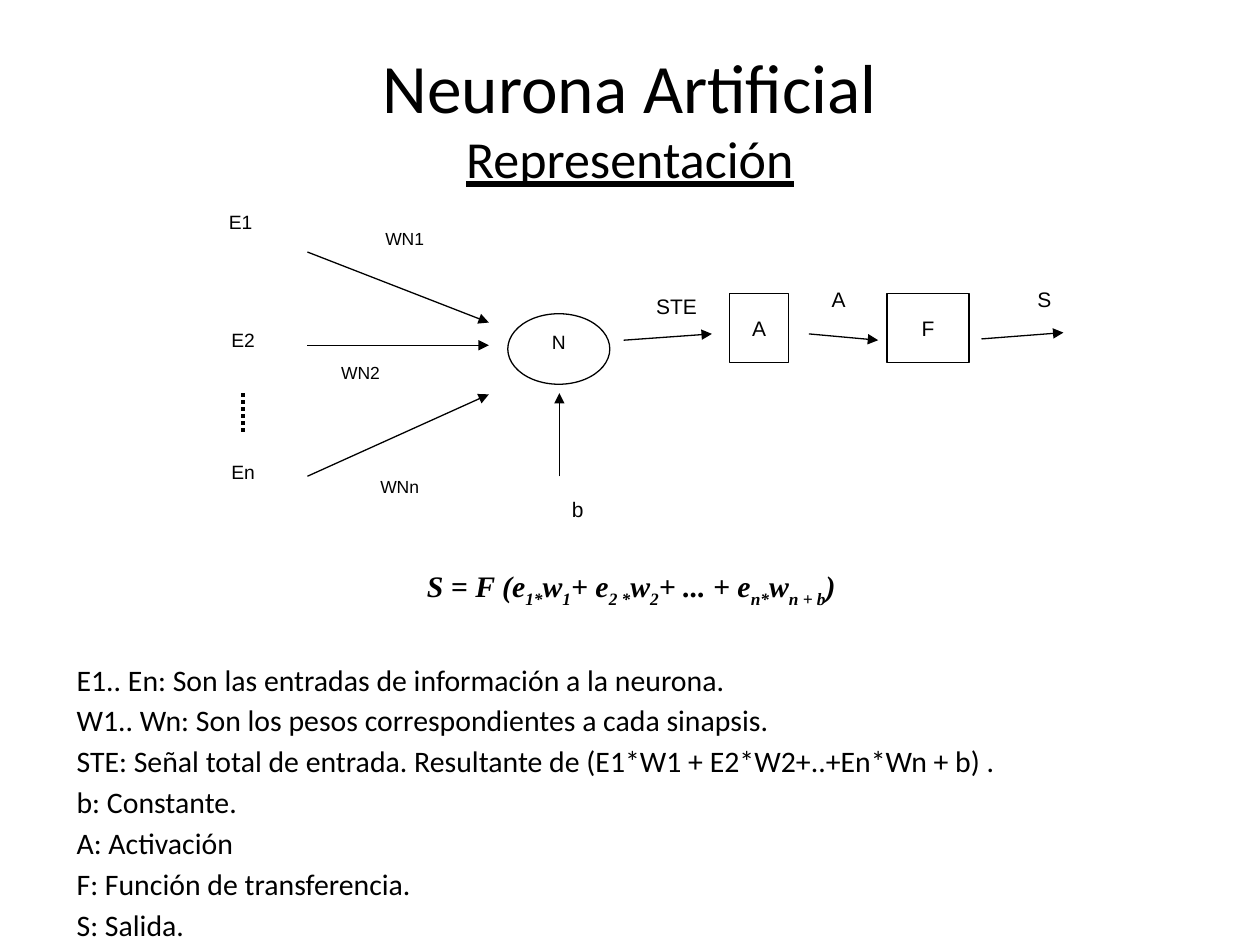
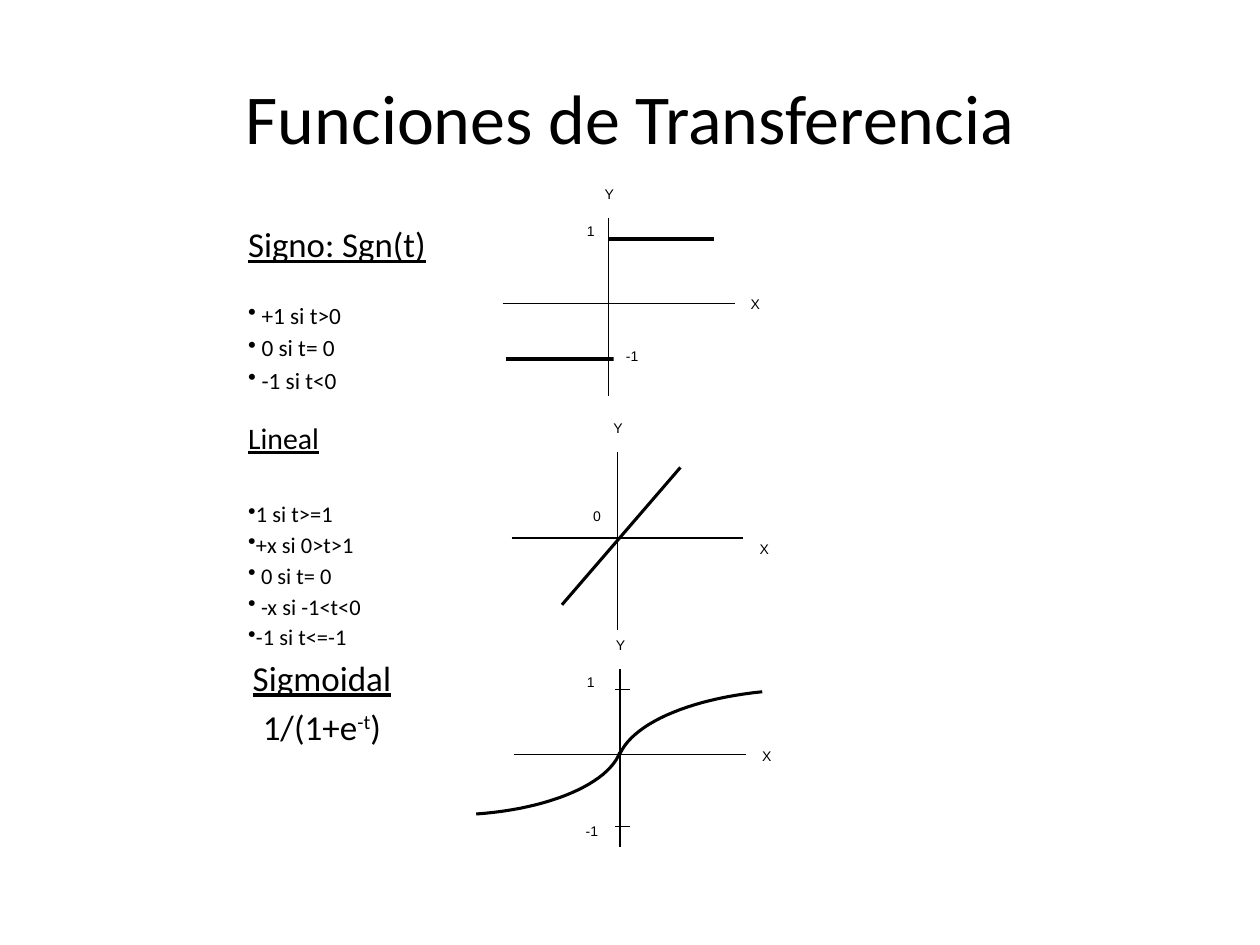
from lxml import etree
from pptx import Presentation
from pptx.dml.color import RGBColor
from pptx.enum.dml import MSO_LINE
from pptx.enum.shapes import MSO_CONNECTOR, MSO_SHAPE
from pptx.enum.text import MSO_ANCHOR as ANCHOR, PP_ALIGN as ALIGN
from pptx.oxml.ns import qn
from pptx.util import Pt

PX = 9144  # 100 px to the inch
BLACK, WHITE = "000000", "FFFFFF"
BODY_FONT, LABEL_FONT, FORMULA_FONT = "Calibri", "Arial", "Times New Roman"
THIN = 0.75


def rgb(value):
    return RGBColor.from_string(value)


def px(*lengths):
    return [round(n * PX) for n in lengths]


def add_par(tf, runs, size, font=BODY_FONT, align=ALIGN.LEFT, before=0,
            bullet=False, underline=False, bold_italic=False):
    """Add a paragraph; runs is a list of (text, baseline shift in percent)."""
    p = tf.add_paragraph() if tf.text else tf.paragraphs[0]
    p.alignment = ALIGN.JUSTIFY if bullet else align
    p.space_before = Pt(before)
    if bullet:
        pPr = p._p.get_or_add_pPr()
        pPr.set("marL", "0")
        pPr.set("indent", "0")
        etree.SubElement(pPr, qn("a:buChar")).set("char", "•")
    for text, shift in runs:
        r = p.add_run()
        r.text = text
        r.font.name, r.font.size = font, Pt(size)
        r.font.color.rgb = rgb(BLACK)
        if underline:
            r.font.underline = True
        if bold_italic:
            r.font.bold = r.font.italic = True
        if shift:
            r.font._element.set("baseline", str(shift * 1000))


def add_text(slide, x, y, w, h, anchor=ANCHOR.TOP):
    tf = slide.shapes.add_textbox(*px(x, y, w, h)).text_frame
    tf.word_wrap = True
    tf.vertical_anchor = anchor
    return tf


def add_title(slide, title, size, subtitle=None):
    tf = add_text(slide, 50, 30, 900, 125, ANCHOR.MIDDLE)
    add_par(tf, [(title, 0)], size, align=ALIGN.CENTER)
    if subtitle:
        add_par(tf, [(subtitle, 0)], 29.7, align=ALIGN.CENTER, underline=True)


def add_node(slide, x, y, w, h, text, size, align=ALIGN.CENTER,
             anchor=ANCHOR.MIDDLE, shape=MSO_SHAPE.RECTANGLE, outlined=False):
    sp = slide.shapes.add_shape(shape, *px(x, y, w, h))
    sp.shadow.inherit = False
    sp.fill.solid()
    sp.fill.fore_color.rgb = rgb(WHITE)
    if outlined:
        sp.line.color.rgb = rgb(BLACK)
        sp.line.width = Pt(THIN)
    else:
        sp.line.fill.background()
    tf = sp.text_frame
    tf.word_wrap = True
    tf.vertical_anchor = anchor
    add_par(tf, [(text, 0)], size, LABEL_FONT, align)


def add_line(slide, x1, y1, x2, y2, width=THIN, arrow=False, dash=None):
    c = slide.shapes.add_connector(MSO_CONNECTOR.STRAIGHT, *px(x1, y1, x2, y2))
    c.line.color.rgb = rgb(BLACK)
    c.line.width = Pt(width)
    if dash:
        c.line.dash_style = dash
    if arrow:
        etree.SubElement(c.line._get_or_add_ln(), qn("a:tailEnd")).set("type", "triangle")
    etree.SubElement(c._element.spPr, qn("a:effectLst"))


def add_curve(slide, x, y, controls, width, steps=24):
    """Draw a cubic Bézier curve whose control points are relative to (x, y)."""
    points = []
    for i in range(steps + 1):
        t = i / steps
        weights = (1 - t) ** 3, 3 * t * (1 - t) ** 2, 3 * t * t * (1 - t), t ** 3
        points.append(tuple(start + sum(k * c[axis] for k, c in zip(weights, controls))
                            for axis, start in enumerate((x, y))))
    # Finer local units keep the curve even.
    points = [(px_x * 100, px_y * 100) for px_x, px_y in points]
    builder = slide.shapes.build_freeform(*points[0], scale=PX / 100)
    builder.add_line_segments(points[1:], close=False)
    sp = builder.convert_to_shape()
    sp.shadow.inherit = False
    sp.fill.background()
    sp.line.color.rgb = rgb(BLACK)
    sp.line.width = Pt(width)


def add_neuron_diagram(slide, left, top):
    for x, y, text in ((154, 211, "WNn"), (158, 14, "WN1"), (123, 120, "WN2")):
        add_node(slide, left + x, top + y, 106, 38, text, 10, ALIGN.LEFT, ANCHOR.TOP)
    for x, y, text in ((0, 0, "E1"), (2, 94, "E2"), (2, 198, "En")):
        add_node(slide, left + x, top + y, 106, 38, text, 11, anchor=ANCHOR.TOP)
    add_node(slide, left + 265, top + 87, 81, 56, "N", 11, anchor=ANCHOR.TOP,
             shape=MSO_SHAPE.OVAL, outlined=True)
    add_node(slide, left + 362, top + 51, 74, 45, "STE", 12, anchor=ANCHOR.BOTTOM)
    for x, y, w, h, text in ((504, 56, 47, 39, "A"), (658, 56, 66, 39, "S"),
                             (299, 221, 43, 42, "b")):
        add_node(slide, left + x, top + y, w, h, text, 12)
    for x, w, text in ((441, 47, "A"), (566, 65, "F")):
        add_node(slide, left + x, top + 71, w, 55, text, 12, outlined=True)

    inputs = (106, 38, 250, 94), (106, 112, 250, 112), (106, 216, 250, 151)
    bias = (306, 216, 306, 150)
    outputs = (357, 108, 427, 103), (504, 103, 559, 108), (641, 107, 706, 102)
    for x1, y1, x2, y2 in (*inputs, bias, *outputs):
        add_line(slide, left + x1, top + y1, left + x2, top + y2, arrow=True)
    add_line(slide, left + 55, top + 150, left + 55, top + 183, 2,
             dash=MSO_LINE.ROUND_DOT)


def add_legend(slide, x, y, w, h):
    tf = add_text(slide, x, y, w, h)
    sub = -25
    formula = [("S = F (e", 0), ("1*", sub), ("w", 0), ("1", sub), ("+ e", 0),
               ("2 *", sub), ("w", 0), ("2", sub), ("+ ... + e", 0), ("n*", sub),
               ("w", 0), ("n + b", sub), (")", 0)]
    add_par(tf, formula, 17, FORMULA_FONT, ALIGN.CENTER, bold_italic=True)
    terms = ("E1.. En: Son las entradas de información a la neurona.",
             "W1.. Wn: Son los pesos correspondientes a cada sinapsis.",
             "STE: Señal total de entrada. Resultante de (E1*W1 + E2*W2+..+En*Wn + b) .",
             "b: Constante.", "A: Activación", "F: Función de transferencia.",
             "S: Salida.")
    for i, term in enumerate(terms):
        add_par(tf, [(term, 0)], 17, before=3 if i else 30)


def add_cases(slide, box, heading, heading_size, cases, size, gap, spacing):
    tf = add_text(slide, *box)
    add_par(tf, [(heading, 0)], heading_size, underline=True)
    for i, case in enumerate(cases):
        add_par(tf, [(case, 0)], size, before=spacing if i else gap, bullet=True)


def add_sigmoid_formula(slide, x, y, w, h):
    tf = add_text(slide, x, y, w, h)
    add_par(tf, [("Sigmoidal", 0)], 20, align=ALIGN.CENTER, underline=True)
    add_par(tf, [("1/(1+e", 0), ("-t", 30), (")", 0)], 20, align=ALIGN.CENTER, before=4)


def add_mark(slide, x, y, text, w=22):
    add_node(slide, x, y, w, 21, text, 8, ALIGN.LEFT, ANCHOR.TOP)


def add_axes(slide, x, y, x_mark_rise=11):
    """Draw both axes with their letters around the origin (x, y)."""
    add_line(slide, x, y - 68, x, y + 73)
    add_line(slide, x - 84, y, x + 100, y)
    add_mark(slide, x + 103, y - x_mark_rise, "X")
    add_mark(slide, x - 13, y - 99, "Y")


def add_sign_plot(slide, x, y):
    add_axes(slide, x, y)
    add_line(slide, x - 81, y + 44, x + 4, y + 44, 2.25)
    add_line(slide, x, y - 51, x + 84, y - 51, 2.25)
    add_mark(slide, x - 27, y - 69, "1")
    add_mark(slide, x + 4, y + 30, "-1", 46)


def add_linear_plot(slide, x, y):
    add_axes(slide, x, y, x_mark_rise=3)
    add_line(slide, x + 50, y - 56, x - 44, y + 53, 1.75)
    add_mark(slide, x - 29, y - 29, "0")


def add_sigmoid_plot(slide, x, y):
    add_axes(slide, x, y)
    add_mark(slide, x - 36, y - 69, "1")
    add_mark(slide, x - 37, y + 49, "-1", 32)
    for tick in (-52, 57):
        add_line(slide, x - 4, y + tick, x + 8, y + tick)
    add_curve(slide, x, y, ((-114, 47), (-56, 43), (-9, 23), (0, -2)), 1.75)
    add_curve(slide, x, y, ((113, -50), (54, -44), (8, -24), (-1, 2)), 1.75)


def build_neuron_slide(slide):
    add_title(slide, "Neurona Artificial", 39.6, "Representación")
    add_legend(slide, 51, 446, 900, 279)
    add_neuron_diagram(slide, 138, 162)


def build_transfer_slide(slide):
    add_title(slide, "Funciones de Transferencia", 40)
    add_cases(slide, (187, 172, 215, 129), "Signo: Sgn(t)", 19.9,
              (" +1 si t>0", " 0 si t= 0", " -1 si t<0"), 13.3, 21, 2.4)
    add_cases(slide, (187, 328, 172, 181), "Lineal", 17,
              ("1 si t>=1", "+x si 0>t>1", " 0 si t= 0", " -x si -1<t<0",
               "-1 si t<=-1"), 12.8, 25.8, 2.2)
    add_sigmoid_formula(slide, 148, 516, 215, 82)
    add_sign_plot(slide, 483, 241)
    add_linear_plot(slide, 490, 427)
    add_sigmoid_plot(slide, 492, 599)


def main():
    prs = Presentation()
    prs.slide_width, prs.slide_height = px(1000, 750)
    for build in (build_neuron_slide, build_transfer_slide):
        build(prs.slides.add_slide(prs.slide_layouts[6]))
    prs.save("out.pptx")


if __name__ == "__main__":
    main()
